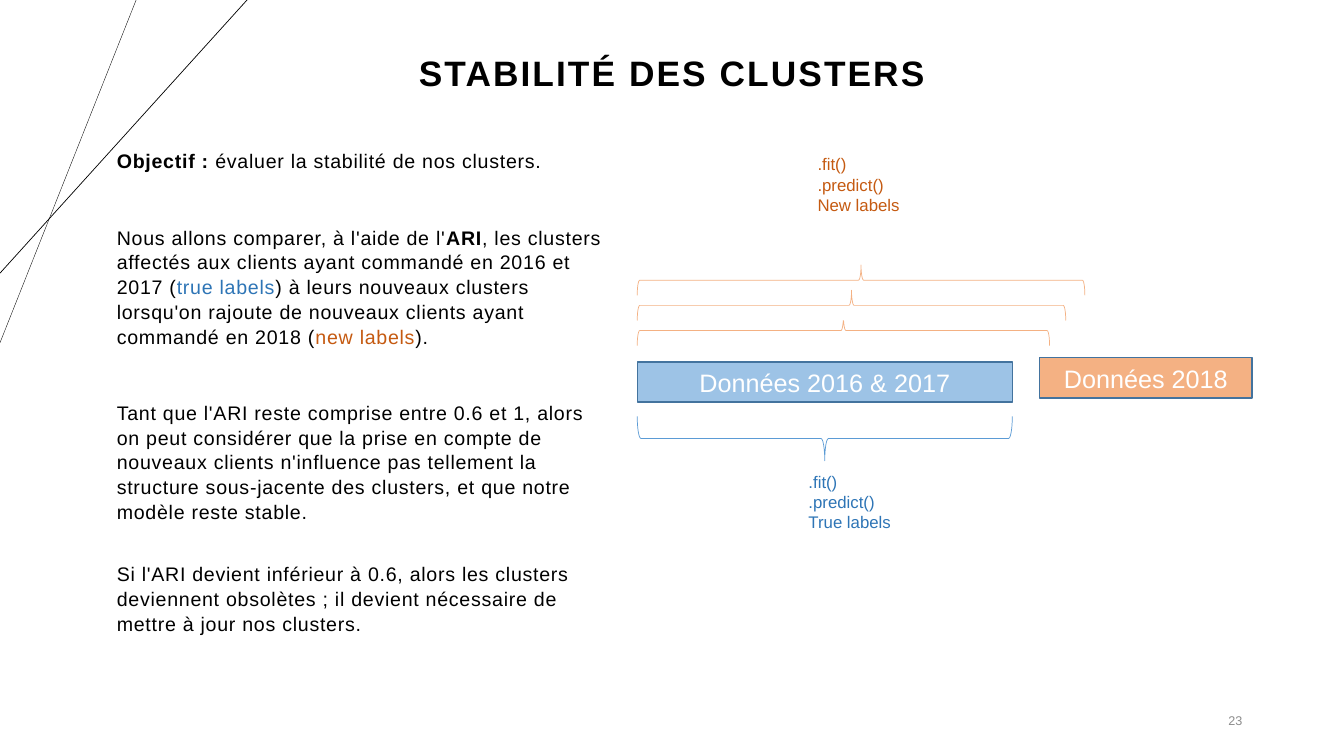
from lxml.etree import SubElement
from pptx import Presentation
from pptx.dml.color import RGBColor
from pptx.enum.shapes import MSO_CONNECTOR as Connector, MSO_SHAPE as Shape
from pptx.enum.text import MSO_ANCHOR as Anchor, PP_ALIGN as Align
from pptx.oxml.ns import qn
from pptx.util import Inches, Pt

BLACK, WHITE, GREY = "000000", "FFFFFF", "8C8C8C"
BLUE_TEXT, BLUE_FILL, BLUE_LINE = "2E75B6", "9DC3E6", "5B9BD5"
ORANGE_TEXT, ORANGE_FILL = "C55A11", "F4B183"
BOX_BORDER = "43739E"


def rgb(hex_color):
    return RGBColor.from_string(hex_color)


class SlideBuilder:
    font_name = "Arial"

    def __init__(self, slide):
        self.slide = slide
        self.shapes = slide.shapes

    def fill_text(self, frame, paragraphs, size, color, spacing=0, anchor=Anchor.TOP,
                  **paragraph_format):
        """Each paragraph is a list of (text, run format) pairs."""
        frame.word_wrap = True
        frame.vertical_anchor = anchor
        for index, pieces in enumerate(paragraphs):
            paragraph = frame.add_paragraph() if index else frame.paragraphs[0]
            for key, value in paragraph_format.items():
                setattr(paragraph, key, value)
            for text, run_format in pieces:
                run = paragraph.add_run()
                run.text = text
                values = {"name": self.font_name, "size": Pt(size), "bold": False, **run_format}
                run_color = values.pop("color", color)
                for key, value in values.items():
                    setattr(run.font, key, value)
                run.font.color.rgb = rgb(run_color)
                if spacing:
                    run.font._element.set("spc", str(int(spacing * 100)))
        return frame.paragraphs

    def title(self, text, left, top, width, height):
        title = self.shapes.title
        place = {"left": left, "top": top, "width": width, "height": height}
        for key, value in place.items():
            setattr(title, key, Inches(value))
        self.fill_text(title.text_frame, [[(text, {"bold": True})]], 25.2, BLACK, 1.5,
                       Anchor.MIDDLE, alignment=Align.CENTER, line_spacing=0.9)

    def text(self, left, top, width, height, paragraphs, size, color, **options):
        box = self.shapes.add_textbox(*map(Inches, (left, top, width, height)))
        return self.fill_text(box.text_frame, paragraphs, size, color, **options)

    def shape(self, kind, left, top, width, height, fill, line, line_width):
        shape = self.shapes.add_shape(kind, *map(Inches, (left, top, width, height)))
        shape.shadow.inherit = False
        shape.fill.solid()
        shape.fill.fore_color.rgb = rgb(fill)
        shape.line.color.rgb = rgb(line)
        shape.line.width = Pt(line_width)
        return shape

    def data_box(self, text, left, top, width, fill):
        box = self.shape(Shape.RECTANGLE, left, top, width, 0.4, fill, BOX_BORDER, 1)
        self.fill_text(box.text_frame, [[(text, {})]], 18, WHITE,
                       anchor=Anchor.MIDDLE, alignment=Align.CENTER)

    def brace(self, left, top, span, depth, color, rotation):
        """Place a horizontal brace by the area it covers once rotated."""
        brace = self.shape(Shape.LEFT_BRACE, left + (span - depth) / 2,
                           top + (depth - span) / 2, depth, span, WHITE, color, 0.5)
        brace.rotation = rotation

    def line(self, start, end, width):
        line = self.shapes.add_connector(Connector.STRAIGHT, *map(Inches, start + end))
        line.line.color.rgb = rgb(BLACK)
        line.line.width = Pt(width)
        SubElement(line._element.spPr, qn("a:effectLst"))


def main():
    deck = Presentation()
    deck.slide_width, deck.slide_height = Inches(13.33), Inches(7.5)
    builder = SlideBuilder(deck.slides.add_slide(deck.slide_layouts[5]))

    # Corner lines and title
    builder.line((1.35, 0), (0, 3.4), 0.25)
    builder.line((2.45, 0), (0, 2.71), 0.5)
    builder.title("STABILITÉ DES CLUSTERS", 2.06, 0.52, 9.21, 0.45)

    # Explanation
    bold = {"bold": True}
    explanation = [
        [("Objectif : ", bold), ("évaluer la stabilité de nos clusters.", {})],
        [("Nous allons comparer, à l'aide de l'", {}), ("ARI", bold),
         (", les clusters affectés aux clients ayant commandé en 2016 et 2017 (", {}),
         ("true labels", {"color": BLUE_TEXT}),
         (") à leurs nouveaux clusters lorsqu'on rajoute de nouveaux clients ayant "
          "commandé en 2018 (", {}),
         ("new labels", {"color": ORANGE_TEXT}), (").", {})],
        [("Tant que l'ARI reste comprise entre 0.6 et 1, alors on peut considérer que la "
          "prise en compte de nouveaux clients n'influence pas tellement la structure "
          "sous-jacente des clusters, et que notre modèle reste stable.", {})],
        [("Si l'ARI devient inférieur à 0.6, alors les clusters deviennent obsolètes ; "
          "il devient nécessaire de mettre à jour nos clusters.", {})],
    ]
    paragraphs = builder.text(1.06, 1.42, 5.12, 5.43, explanation, 14, BLACK,
                              spacing=0.5, line_spacing=1.05)
    for paragraph, gap in zip(paragraphs[1:], (37, 37, 27)):
        paragraph.space_before = Pt(gap)

    # Data periods
    data_left = 6.32
    builder.data_box("Données 2016 & 2017", data_left, 3.59, 3.72, BLUE_FILL)
    builder.data_box("Données 2018", 10.31, 3.55, 2.11, ORANGE_FILL)

    # Braces: the middle orange one lies over the tip of the lowest
    builder.brace(data_left, 4.13, 3.72, 0.44, BLUE_LINE, 270)
    for level, span in ((0, 4.44), (2, 4.09), (1, 4.25)):
        builder.brace(data_left, 2.63 + 0.25 * level, span, 0.3, ORANGE_FILL, 90)

    # Labels of the two fits
    for left, top, width, result, color in ((7.92, 4.63, 2.72, "True labels", BLUE_TEXT),
                                            (8.01, 1.48, 1.05, "New labels", ORANGE_TEXT)):
        steps = [[(step, {})] for step in (".fit()", ".predict()", result)]
        builder.text(left, top, width, 1.01, steps, 12, color)

    # Page number
    builder.text(9.42, 6.95, 3, 0.4, [[("23", {})]], 9, GREY,
                 anchor=Anchor.MIDDLE, alignment=Align.RIGHT)

    deck.save("out.pptx")


if __name__ == "__main__":
    main()
